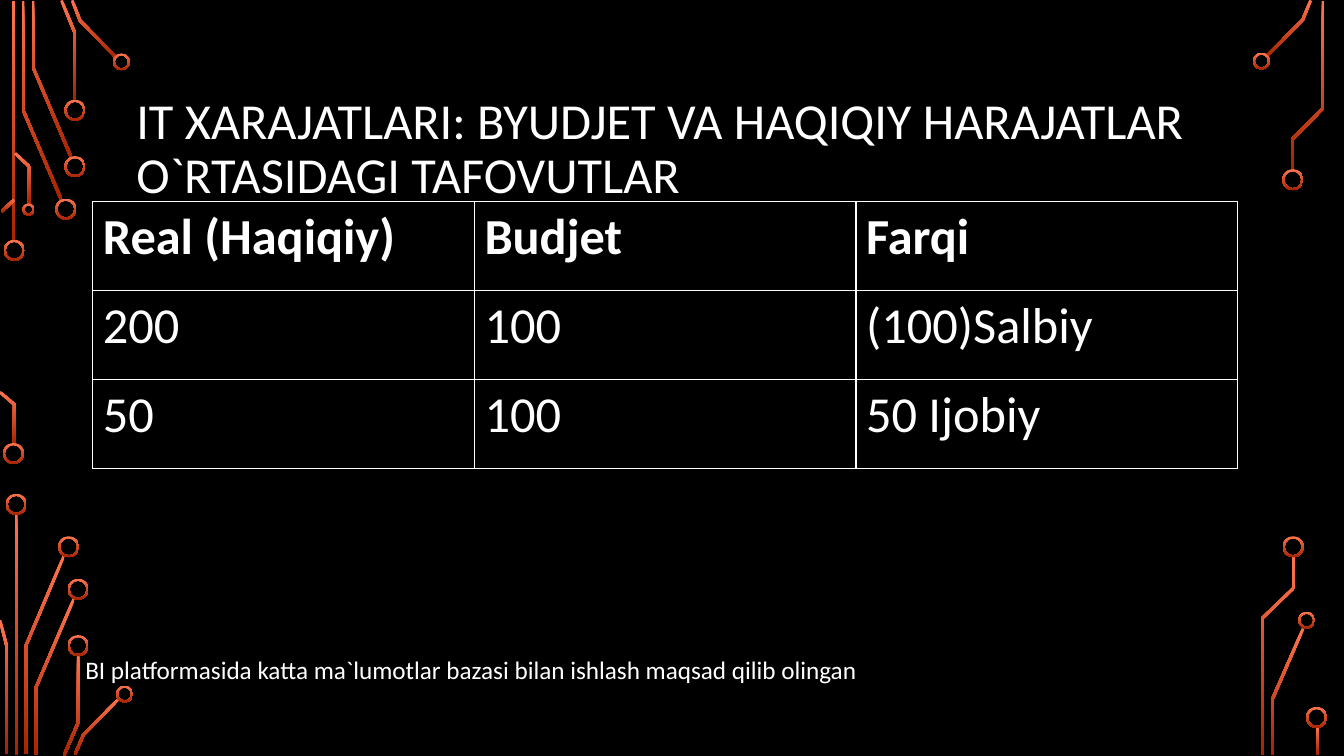
"""Builds a slide on IT spending with a budget table framed by circuit traces."""
from dataclasses import dataclass
from math import hypot

from lxml.etree import SubElement
from pptx import Presentation
from pptx.dml.color import RGBColor
from pptx.enum.shapes import MSO_SHAPE as Shape
from pptx.enum.text import MSO_ANCHOR as Anchor, MSO_AUTO_SIZE as AutoSize, PP_ALIGN as Align
from pptx.oxml.ns import qn
from pptx.util import Cm, Pt

TITLE = "IT XARAJATLARI: BYUDJET VA HAQIQIY HARAJATLAR O`RTASIDAGI TAFOVUTLAR"
FOOTNOTE = "BI platformasida katta ma`lumotlar bazasi bilan ishlash maqsad qilib olingan"
BUDGET_ROWS = [
    ("Real (Haqiqiy)", "Budjet", "Farqi"),
    ("200", "100", "(100)Salbiy"),
    ("50", "100", "50 Ijobiy"),
]

BARS = [(0.34, 0.03, 6.07), (0.41, 12.95, 6.07), (33.2, 18.31, 0.71)]
TRACES = [
    [(0.58, 0.03), (0.58, 2.77), (1.55, 5.04)],
    [(0.83, 0.03), (0.83, 1.69), (1.8, 3.98)],
    [(1.55, 0.01), (1.89, 0.84), (1.89, 2.54)],
    [(1.82, 0.01), (2.02, 0.52), (2.93, 1.45)],
    [(0.04, 5.33), (0.36, 5.03)],
    [(0, 9.88), (0.36, 10.19), (0.36, 11.2)],
    [(0.38, 3.86), (0.74, 4.2), (0.74, 5.16)],
    [(0.65, 19), (0.65, 16.28), (1.61, 14.01)],
    [(0.17, 19), (0.17, 16.28), (0, 15.63)],
    [(0.9, 19.02), (0.9, 17.34), (1.87, 15.07)],
    [(1.61, 19.04), (1.97, 18.21), (1.97, 16.51)],
    [(1.89, 19.01), (2.1, 18.52), (3, 17.6)],
    [(31.93, 1.41), (32.83, 0.5), (33.03, 0.01)],
    [(32.07, 19.02), (32.07, 17.61), (32.84, 15.84)],
    [(32.56, 4.29), (32.56, 3.52), (33.34, 2.73), (33.34, 0.03)],
    [(31.81, 19.02), (31.81, 15.58), (32.6, 14.82), (32.6, 14.02)],
]
RINGS = {
    0.53: [(0.36, 6.31), (0.34, 11.43), (1.66, 5.27), (1.89, 4.2), (1.89, 2.78),
           (0.41, 12.71), (1.73, 13.78), (1.97, 14.85), (1.97, 16.27),
           (32.58, 4.53), (32.59, 13.78), (33.18, 18.08)],
    0.43: [(3.06, 1.56), (3.14, 17.49), (31.79, 1.54), (32.93, 15.63)],
    0.31: [(0.72, 5.28)],
}


@dataclass(frozen=True)
class Theme:
    background: RGBColor = RGBColor(0x00, 0x00, 0x00)
    ink: RGBColor = RGBColor(0xFF, 0xFF, 0xFF)
    trace_top: RGBColor = RGBColor(0xFF, 0x74, 0x4E)
    trace_bottom: RGBColor = RGBColor(0xA6, 0x24, 0x00)
    font: str = "Calibri"
    large: Pt = Pt(36)
    small: Pt = Pt(18)
    border: Pt = Pt(1)
    trace_width: float = 0.07
    ring_width: float = 0.05


class SlideBuilder:
    def __init__(self, slide, theme):
        self.slide = slide
        self.theme = theme
        slide.background.fill.solid()
        slide.background.fill.fore_color.rgb = theme.background

    def style_text(self, paragraph, size, bold=False):
        font = paragraph.font
        font.name, font.size, font.bold = self.theme.font, size, bold
        font.color.rgb = self.theme.ink

    def paint(self, shape):
        shape.shadow.inherit = False
        shape.line.fill.background()
        shape.fill.gradient()
        shape.fill.gradient_angle = 270
        colors = (self.theme.trace_top, self.theme.trace_bottom)
        for position, (stop, color) in enumerate(zip(shape.fill.gradient_stops, colors)):
            stop.position = position
            stop.color.rgb = color

    def bar(self, center, top, height):
        width = self.theme.trace_width
        self.paint(self.slide.shapes.add_shape(
            Shape.RECTANGLE, Cm(center - width / 2), Cm(top), Cm(width), Cm(height)))

    def ring(self, x, y, diameter):
        shape = self.slide.shapes.add_shape(
            Shape.DONUT, Cm(x - diameter / 2), Cm(y - diameter / 2), Cm(diameter), Cm(diameter))
        shape.adjustments[0] = self.theme.ring_width / diameter
        self.paint(shape)

    def trace(self, points):
        normals = []
        for (x1, y1), (x2, y2) in zip(points, points[1:]):
            length = hypot(x2 - x1, y2 - y1)
            normals.append(((y1 - y2) / length, (x2 - x1) / length))
        half = self.theme.trace_width / 2
        left, right = [], []
        for (x, y), (ax, ay), (bx, by) in zip(points, normals[:1] + normals, normals + normals[-1:]):
            scale = half / (1 + ax * bx + ay * by)
            dx, dy = (ax + bx) * scale, (ay + by) * scale
            left.append((Cm(x + dx), Cm(y + dy)))
            right.append((Cm(x - dx), Cm(y - dy)))
        outline = left + right[::-1]
        builder = self.slide.shapes.build_freeform(*outline[0])
        builder.add_line_segments(outline[1:], close=True)
        self.paint(builder.convert_to_shape())

    def title(self, text, left, top, width, height):
        shape = self.slide.shapes.title
        shape.left, shape.top, shape.width, shape.height = Cm(left), Cm(top), Cm(width), Cm(height)
        frame = shape.text_frame
        frame.text = text
        frame.auto_size = AutoSize.NONE
        frame.vertical_anchor = Anchor.MIDDLE
        paragraph = frame.paragraphs[0]
        paragraph.alignment = Align.LEFT
        paragraph.line_spacing = 0.9
        self.style_text(paragraph, self.theme.large)

    def text(self, text, left, top, width, height):
        frame = self.slide.shapes.add_textbox(Cm(left), Cm(top), Cm(width), Cm(height)).text_frame
        frame.word_wrap = True
        frame.auto_size = AutoSize.SHAPE_TO_FIT_TEXT
        frame.text = text
        self.style_text(frame.paragraphs[0], self.theme.small)

    def border_cell(self, cell):
        properties = cell._tc.get_or_add_tcPr()
        for position, side in enumerate(("a:lnL", "a:lnR", "a:lnT", "a:lnB")):
            line = SubElement(properties, qn(side), w=str(self.theme.border))
            fill = SubElement(line, qn("a:solidFill"))
            SubElement(fill, qn("a:srgbClr"), val=str(self.theme.ink))
            properties.insert(position, line)

    def table(self, rows, left, top, width, height):
        table = self.slide.shapes.add_table(
            len(rows), len(rows[0]), Cm(left), Cm(top), Cm(width), Cm(height)).table
        table.horz_banding = False
        for row_index, row in enumerate(rows):
            for column_index, value in enumerate(row):
                cell = table.cell(row_index, column_index)
                cell.text = value
                cell.fill.background()
                self.style_text(cell.text_frame.paragraphs[0], self.theme.large, row_index == 0)
                self.border_cell(cell)


def main():
    presentation = Presentation()
    presentation.slide_width, presentation.slide_height = Cm(33.87), Cm(19.05)
    title_only = presentation.slide_layouts.get_by_name("Title Only")
    builder = SlideBuilder(presentation.slides.add_slide(title_only), Theme())
    for bar in BARS:
        builder.bar(*bar)
    for points in TRACES:
        builder.trace(points)
    for diameter, centers in RINGS.items():
        for x, y in centers:
            builder.ring(x, y, diameter)
    builder.title(TITLE, 3.18, 1.73, 27.51, 4.11)
    builder.table(BUDGET_ROWS, 2.34, 5.08, 28.85, 6.73)
    builder.text(FOOTNOTE, 1.9, 16.36, 24.84, 1.02)
    presentation.save("out.pptx")


if __name__ == "__main__":
    main()
